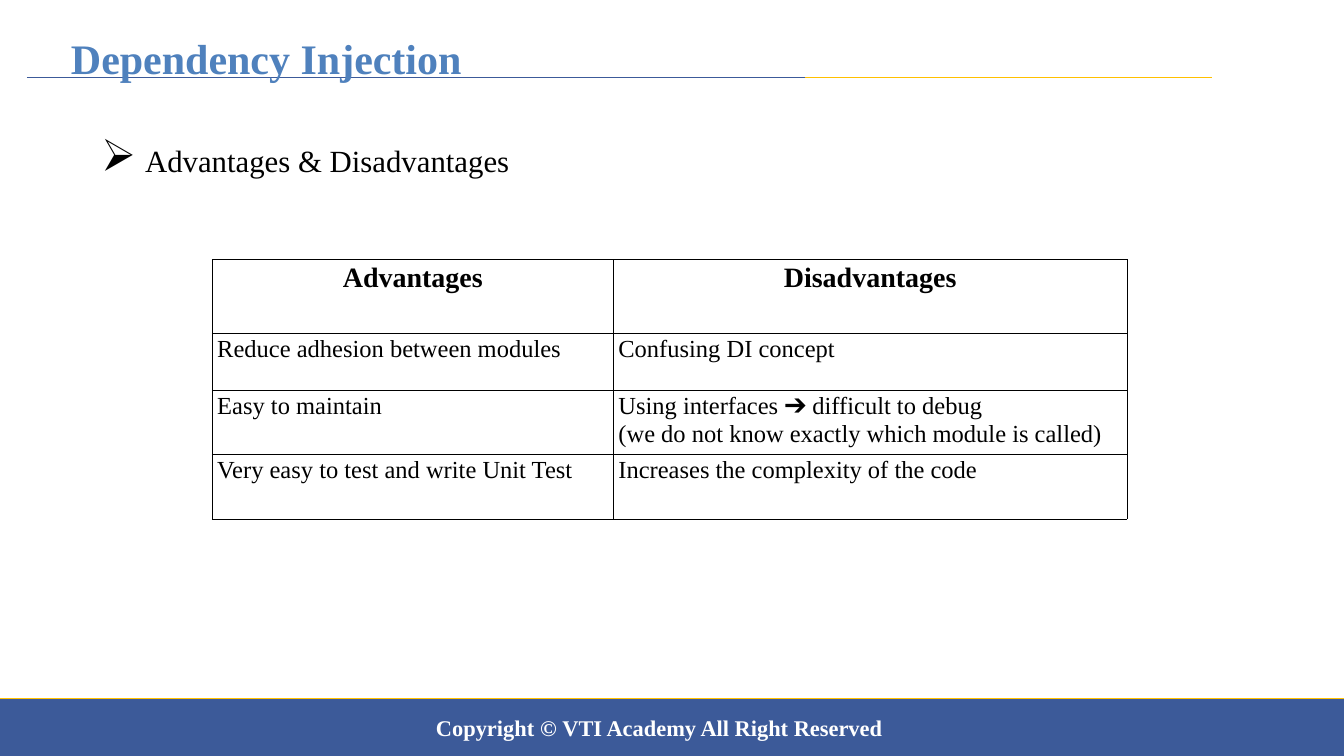
from lxml.etree import SubElement
from pptx import Presentation
from pptx.dml.color import RGBColor
from pptx.enum.shapes import MSO_CONNECTOR, MSO_SHAPE
from pptx.enum.text import MSO_ANCHOR, PP_ALIGN
from pptx.oxml.ns import qn
from pptx.util import Inches, Pt

NAVY = RGBColor(0x3C, 0x5A, 0x99)
GOLD = RGBColor(0xFF, 0xC0, 0x00)
TITLE_BLUE = RGBColor(0x4F, 0x81, 0xBD)
BLACK = RGBColor(0, 0, 0)
WHITE = RGBColor(0xFF, 0xFF, 0xFF)

RULE_ROW = 10.27
FOOTER_ROW = 92.4


class SlideBuilder:
    """Draws on one slide; lengths are columns and rows of a 100 x 100 grid."""

    font_name = "Times New Roman"

    def __init__(self, presentation):
        self.column = presentation.slide_width / 100
        self.row = presentation.slide_height / 100
        self.slide = presentation.slides.add_slide(presentation.slide_layouts[6])

    def place(self, left, top, width, height):
        return (round(left * self.column), round(top * self.row),
                round(width * self.column), round(height * self.row))

    def style(self, paragraph, size, color, bold=False, align=PP_ALIGN.LEFT):
        paragraph.alignment = align
        font = paragraph.font
        font.name, font.size, font.bold = self.font_name, Pt(size), bold
        font.color.rgb = color

    def horizontal_line(self, start, end, row, color):
        left, top, right, _ = self.place(start, row, end, 0)
        line = self.slide.shapes.add_connector(
            MSO_CONNECTOR.STRAIGHT, left, top, right, top)
        line.line.color.rgb = color
        line.line.width = Pt(1.5)
        SubElement(line._element.spPr, qn("a:effectLst"))

    def band(self, top, height, color):
        shape = self.slide.shapes.add_shape(
            MSO_SHAPE.RECTANGLE, *self.place(0, top, 100, height))
        shape.shadow.inherit = False
        shape.fill.solid()
        shape.fill.fore_color.rgb = color
        shape.line.fill.background()

    def text(self, box, content, size, color, bold=False, align=PP_ALIGN.LEFT,
             anchor=MSO_ANCHOR.TOP, margins=(0.1, 0.05), bullet=None):
        """Add a text box; content is a list of (text, italic) runs."""
        frame = self.slide.shapes.add_textbox(*self.place(*box)).text_frame
        frame.word_wrap = True
        frame.vertical_anchor = anchor
        frame.margin_left = frame.margin_right = Inches(margins[0])
        frame.margin_top = frame.margin_bottom = Inches(margins[1])
        paragraph = frame.paragraphs[0]
        if bullet:
            self.bullet(paragraph, bullet)
        self.style(paragraph, size, color, bold, align)
        for words, italic in content:
            run = paragraph.add_run()
            run.text = words
            if italic:
                run.font.italic = True

    def bullet(self, paragraph, character, indent=Inches(0.87), percent=145):
        properties = paragraph._p.get_or_add_pPr()
        properties.set("marL", str(indent))
        properties.set("indent", str(-indent))
        SubElement(properties, qn("a:buSzPct"), val=str(percent * 1000))
        SubElement(properties, qn("a:buChar"), char=character)

    def table(self, left, top, widths, heights, rows):
        """Add a bordered table whose first row is a centred bold heading."""
        box = self.place(left, top, sum(widths), sum(heights))
        table = self.slide.shapes.add_table(len(rows), len(widths), *box).table
        table.first_row = table.horz_banding = False
        for column, width in zip(table.columns, widths):
            column.width = round(width * self.column)
        for index, (row, height, texts) in enumerate(zip(table.rows, heights, rows)):
            row.height = round(height * self.row)
            heading = index == 0
            for cell, words in zip(row.cells, texts):
                cell.text = words
                for paragraph in cell.text_frame.paragraphs:
                    self.style(paragraph, 40 if heading else 35, BLACK, heading,
                               PP_ALIGN.CENTER if heading else PP_ALIGN.LEFT)
                self.cell_borders(cell, BLACK)
                cell.fill.background()

    def cell_borders(self, cell, color):
        properties = cell._tc.get_or_add_tcPr()
        for side in ("lnL", "lnR", "lnT", "lnB"):
            border = SubElement(properties, qn(f"a:{side}"), w=str(Pt(1)))
            fill = SubElement(border, qn("a:solidFill"))
            SubElement(fill, qn("a:srgbClr"), val=str(color))


def main():
    presentation = Presentation()
    presentation.slide_width = Inches(26.67)
    presentation.slide_height = Inches(15)
    builder = SlideBuilder(presentation)

    builder.horizontal_line(2, 90.2, RULE_ROW, NAVY)
    builder.band(FOOTER_ROW, 100 - FOOTER_ROW, NAVY)
    builder.text((27.6, 93.73, 42.9, 4.93),
                 [("Copyright ", False), ("© ", True),
                  ("VTI Academy All Right Reserved", False)],
                 32, WHITE, bold=True, align=PP_ALIGN.CENTER, margins=(0.2, 0.1))
    builder.horizontal_line(59.9, 90.2, RULE_ROW, GOLD)
    builder.horizontal_line(0, 100, FOOTER_ROW, GOLD)

    builder.text((4.91, 4.13, 57.63, 6.93), [("Dependency Injection", False)],
                 60, TITLE_BLUE, bold=True, anchor=MSO_ANCHOR.MIDDLE)
    builder.text((7.16, 18.47, 43, 9.87), [("Advantages & Disadvantages", False)],
                 44, BLACK, bullet="➢")
    builder.table(15.79, 34.33, (29.85, 38.21), (9.73, 7.6, 7.6, 8.53), [
        ("Advantages", "Disadvantages"),
        ("Reduce adhesion between modules", "Confusing DI concept"),
        ("Easy to maintain",
         "Using interfaces ➔ difficult to debug\n"
         "(we do not know exactly which module is called)"),
        ("Very easy to test and write Unit Test",
         "Increases the complexity of the code"),
    ])
    presentation.save("out.pptx")


if __name__ == "__main__":
    main()
